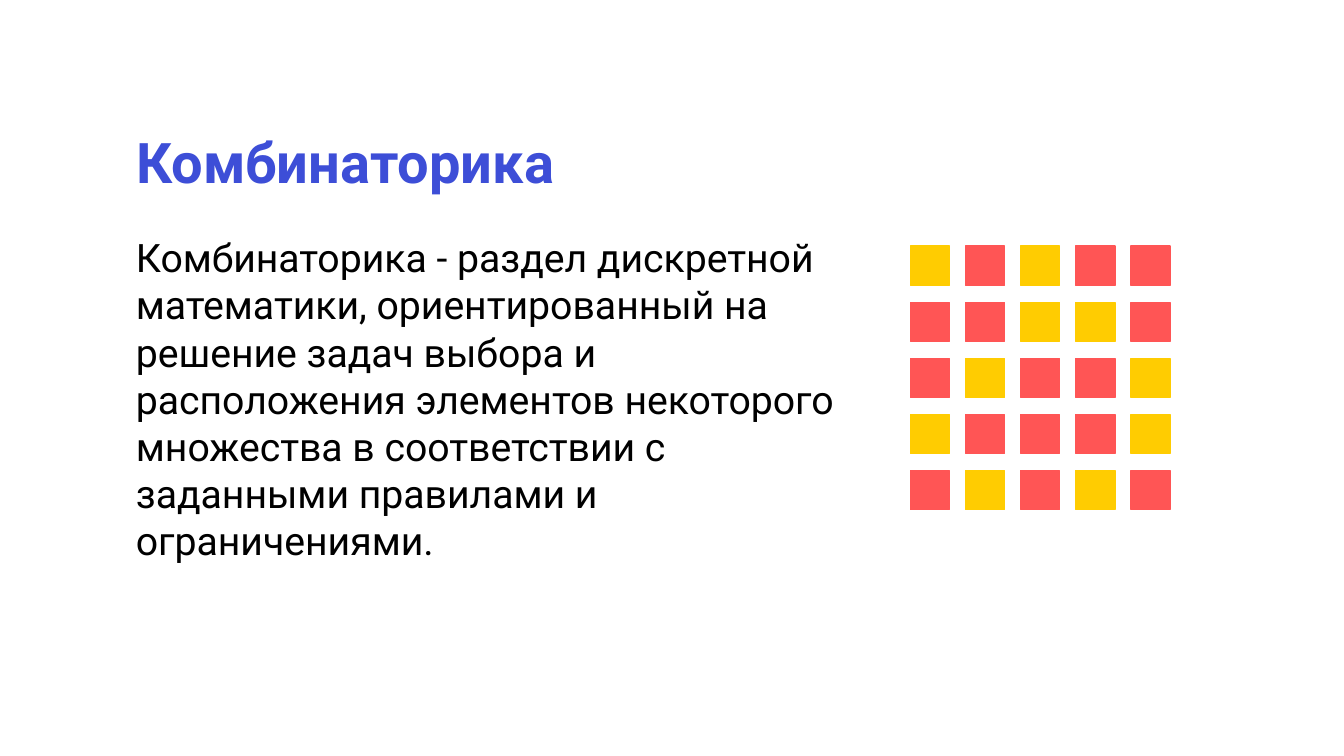
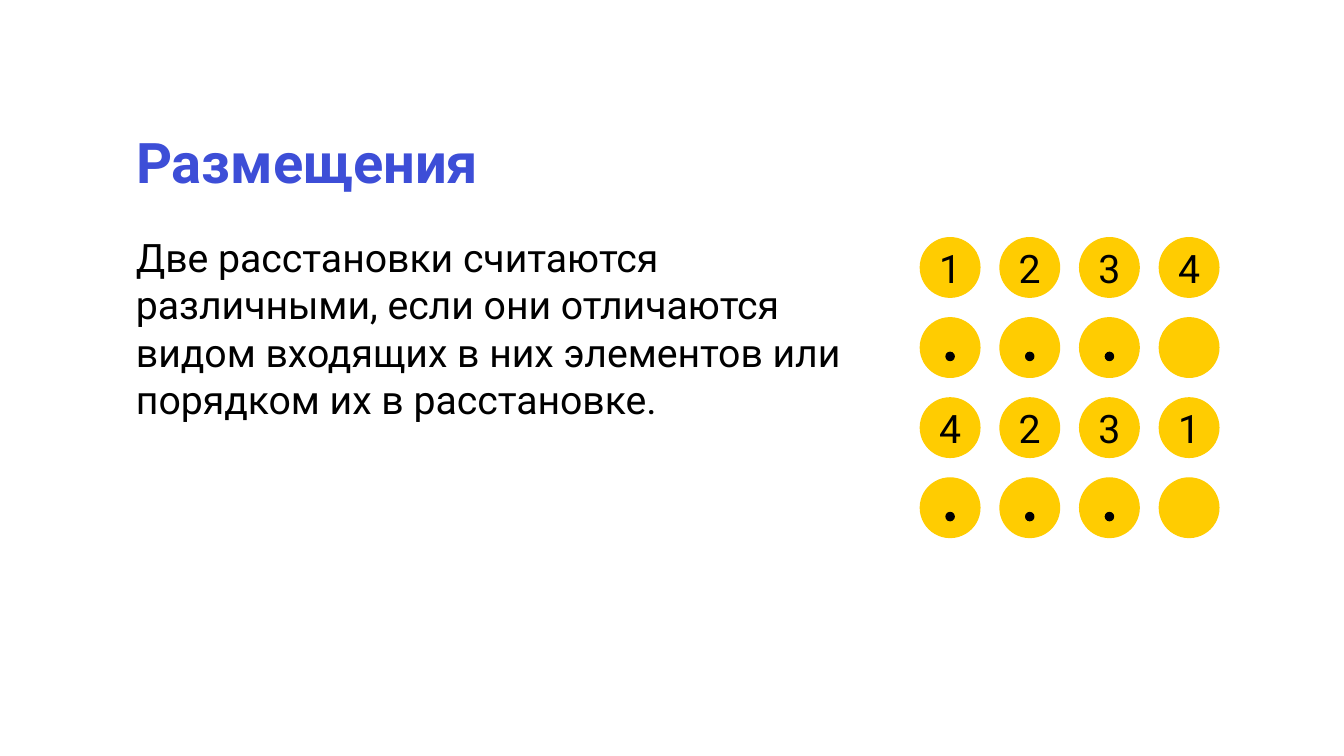
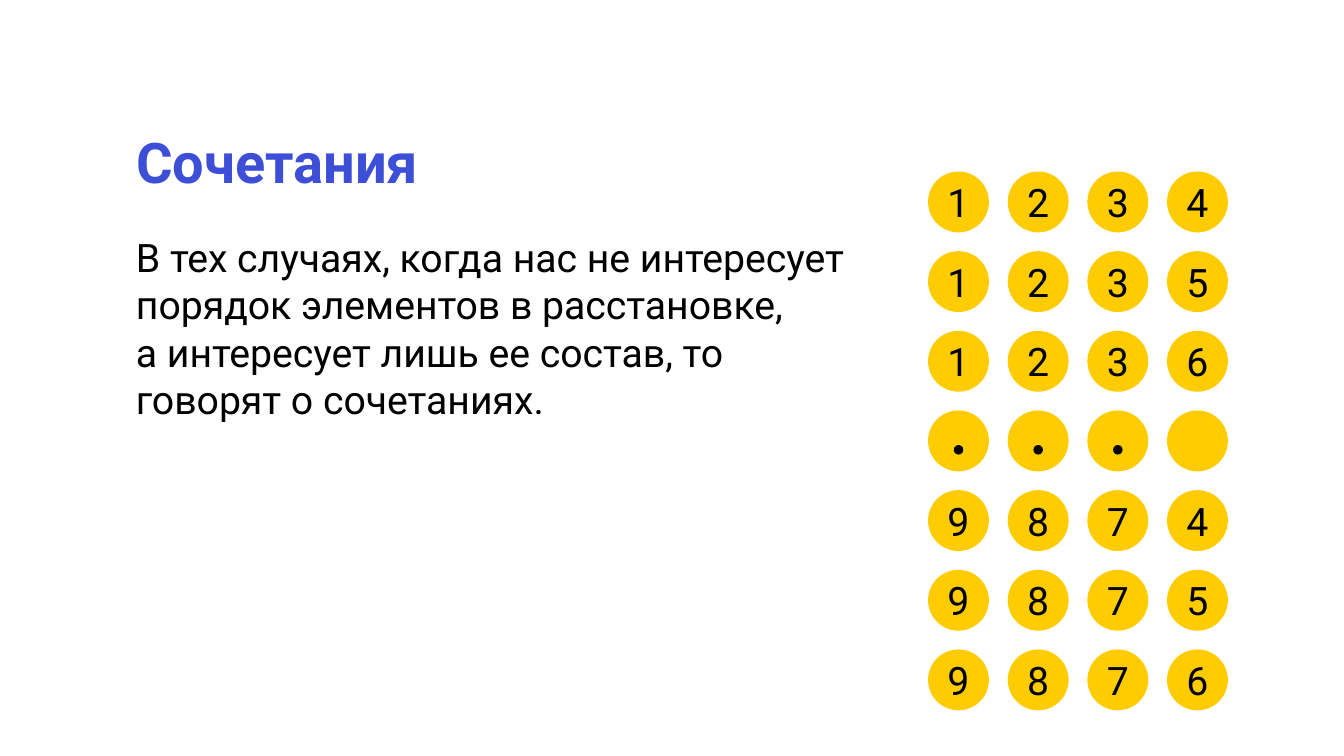
from dataclasses import dataclass

from pptx import Presentation
from pptx.dml.color import RGBColor
from pptx.enum.shapes import MSO_SHAPE
from pptx.enum.text import MSO_ANCHOR, MSO_AUTO_SIZE, PP_ALIGN
from pptx.shapes.autoshape import Shape
from pptx.shapes.shapetree import GroupShapes
from pptx.slide import Slide
from pptx.text.text import Font
from pptx.util import Pt

RECTANGLE, OVAL = MSO_SHAPE.RECTANGLE, MSO_SHAPE.OVAL
MIDDLE = MSO_ANCHOR.MIDDLE
LEFT, CENTER = PP_ALIGN.LEFT, PP_ALIGN.CENTER
FIXED_SIZE, GROW = MSO_AUTO_SIZE.NONE, MSO_AUTO_SIZE.SHAPE_TO_FIT_TEXT

BLUE = RGBColor(0x3D, 0x4E, 0xD7)
YELLOW = RGBColor(0xFF, 0xCC, 0x01)
RED = RGBColor(0xFF, 0x55, 0x55)
BLACK = RGBColor(0, 0, 0)

FONT_NAME = "Roboto"
TITLE_SIZE, TEXT_SIZE = 40, 28
TITLE_ONLY = 5

TEXT_LEFT = 90
TITLE_TOP, TITLE_WIDTH, TITLE_HEIGHT = 89, 390, 58
DEFINITION_TOP, DEFINITION_WIDTH = 163.4, 531.8
LINE_HEIGHT = 34

TILE = 28
BALL = 42.5
DOT = 5.8
DOT_DROP = 24.7
TILE_COLORS = {"Y": YELLOW, "R": RED}


@dataclass(frozen=True)
class Grid:
    left: float
    top: float
    column_pitch: float
    row_pitch: float
    rows: tuple[str, ...]

    def cells(self) -> list[tuple[float, float, str]]:
        """Return the left, top and symbol of every cell."""
        return [
            (self.left + column * self.column_pitch, self.top + row * self.row_pitch, symbol)
            for row, symbols in enumerate(self.rows)
            for column, symbol in enumerate(symbols)
        ]


@dataclass(frozen=True)
class Topic:
    title: str
    definition: str
    line_count: int
    grid: Grid


# Y and R are tile colours.
TILES = Grid(650.2, 175.8, 39.4, 40.1, ("YRYRR", "RRYYR", "RYRRY", "YRRRY", "RYRYR"))
# A digit is a label, a full stop is a dot and a space is an empty ball.
ARRANGEMENTS = Grid(657.4, 169.8, 56.9, 57.2, ("1234", "... ", "4231", "... "))
COMBINATIONS = Grid(
    663.4, 123, 56.9, 56.9,
    ("1234", "1235", "1236", "... ", "9874", "9875", "9876"),
)

COMBINATORICS_TOPIC = Topic(
    "Комбинаторика",
    "Комбинаторика - раздел дискретной математики, ориентированный на решение задач "
    "выбора и расположения элементов некоторого множества в соответствии с заданными "
    "правилами и ограничениями.",
    7,
    TILES,
)
BALL_TOPICS = (
    Topic(
        "Размещения",
        "Две расстановки считаются различными, если они отличаются видом входящих в них "
        "элементов или порядком их в расстановке.",
        4,
        ARRANGEMENTS,
    ),
    Topic(
        "Сочетания",
        "В тех случаях, когда нас не интересует порядок элементов в расстановке,\n"
        "а интересует лишь ее состав, то говорят о сочетаниях.",
        4,
        COMBINATIONS,
    ),
)


def set_font(font: Font, size: float, color: RGBColor, bold: bool = False) -> None:
    font.name = FONT_NAME
    font.size = Pt(size)
    font.bold = bold
    font.color.rgb = color


def add_title(slide: Slide, text: str) -> None:
    title = slide.shapes.title
    title.left, title.top = Pt(TEXT_LEFT), Pt(TITLE_TOP)
    title.width, title.height = Pt(TITLE_WIDTH), Pt(TITLE_HEIGHT)
    frame = title.text_frame
    frame.auto_size = FIXED_SIZE
    frame.vertical_anchor = MIDDLE
    paragraph = frame.paragraphs[0]
    paragraph.text = text
    paragraph.alignment = LEFT
    paragraph.line_spacing = 0.9
    set_font(paragraph.font, TITLE_SIZE, BLUE, bold=True)


def add_definition(slide: Slide, text: str, line_count: int) -> None:
    definition = slide.shapes.add_textbox(
        Pt(TEXT_LEFT), Pt(DEFINITION_TOP),
        Pt(DEFINITION_WIDTH), Pt(line_count * LINE_HEIGHT),
    )
    frame = definition.text_frame
    frame.word_wrap = True
    frame.auto_size = GROW
    paragraph = frame.paragraphs[0]
    paragraph.text = text
    set_font(paragraph.font, TEXT_SIZE, BLACK)


def add_figure(
    shapes: GroupShapes, kind: MSO_SHAPE, left: float, top: float, size: float, color: RGBColor
) -> Shape:
    """Add an equal-sided shape with fill and outline of one colour."""
    figure = shapes.add_shape(kind, Pt(left), Pt(top), Pt(size), Pt(size))
    figure.shadow.inherit = False
    figure.fill.solid()
    figure.fill.fore_color.rgb = color
    figure.line.color.rgb = color
    figure.line.width = Pt(1)
    return figure


def add_label(ball: Shape, digit: str) -> None:
    frame = ball.text_frame
    frame.margin_left = frame.margin_right = frame.margin_top = frame.margin_bottom = 0
    frame.vertical_anchor = MIDDLE
    paragraph = frame.paragraphs[0]
    paragraph.text = digit
    paragraph.alignment = CENTER
    set_font(paragraph.font, TEXT_SIZE, BLACK)


def add_tiles(slide: Slide, grid: Grid) -> None:
    shapes = slide.shapes.add_group_shape().shapes
    for left, top, symbol in grid.cells():
        add_figure(shapes, RECTANGLE, left, top, TILE, TILE_COLORS[symbol])


def add_balls(slide: Slide, grid: Grid) -> None:
    shapes = slide.shapes.add_group_shape().shapes
    for left, top, symbol in grid.cells():
        ball = add_figure(shapes, OVAL, left, top, BALL, YELLOW)
        if symbol.isdigit():
            add_label(ball, symbol)
        elif symbol == ".":
            add_figure(shapes, OVAL, left + (BALL - DOT) / 2, top + DOT_DROP, DOT, BLACK)


def add_topic_slide(presentation: Presentation, topic: Topic) -> Slide:
    slide = presentation.slides.add_slide(presentation.slide_layouts[TITLE_ONLY])
    add_title(slide, topic.title)
    add_definition(slide, topic.definition, topic.line_count)
    return slide


def main() -> None:
    presentation = Presentation()
    presentation.slide_width, presentation.slide_height = Pt(960), Pt(540)
    add_tiles(add_topic_slide(presentation, COMBINATORICS_TOPIC), COMBINATORICS_TOPIC.grid)
    for topic in BALL_TOPICS:
        add_balls(add_topic_slide(presentation, topic), topic.grid)
    presentation.save("out.pptx")


if __name__ == "__main__":
    main()
